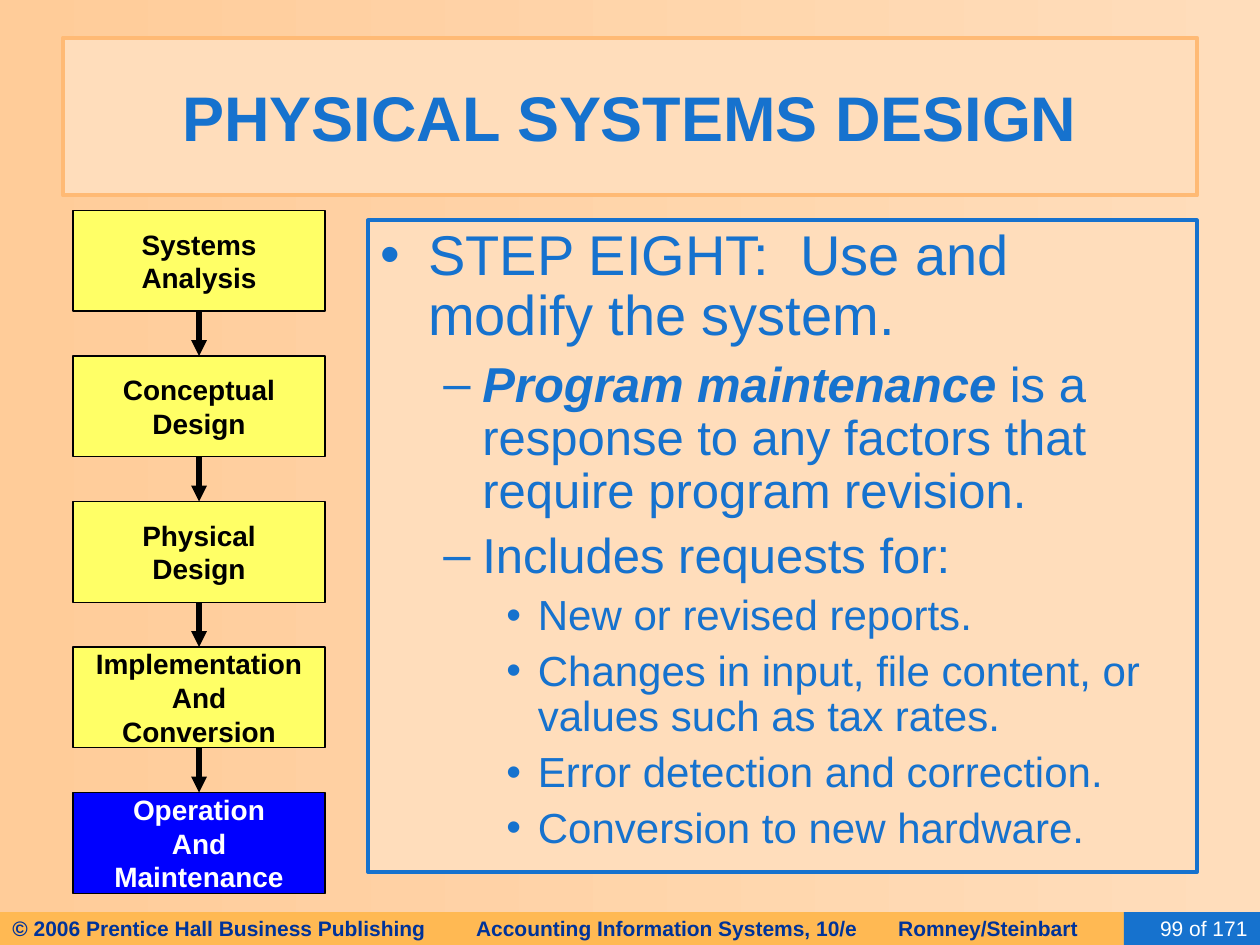
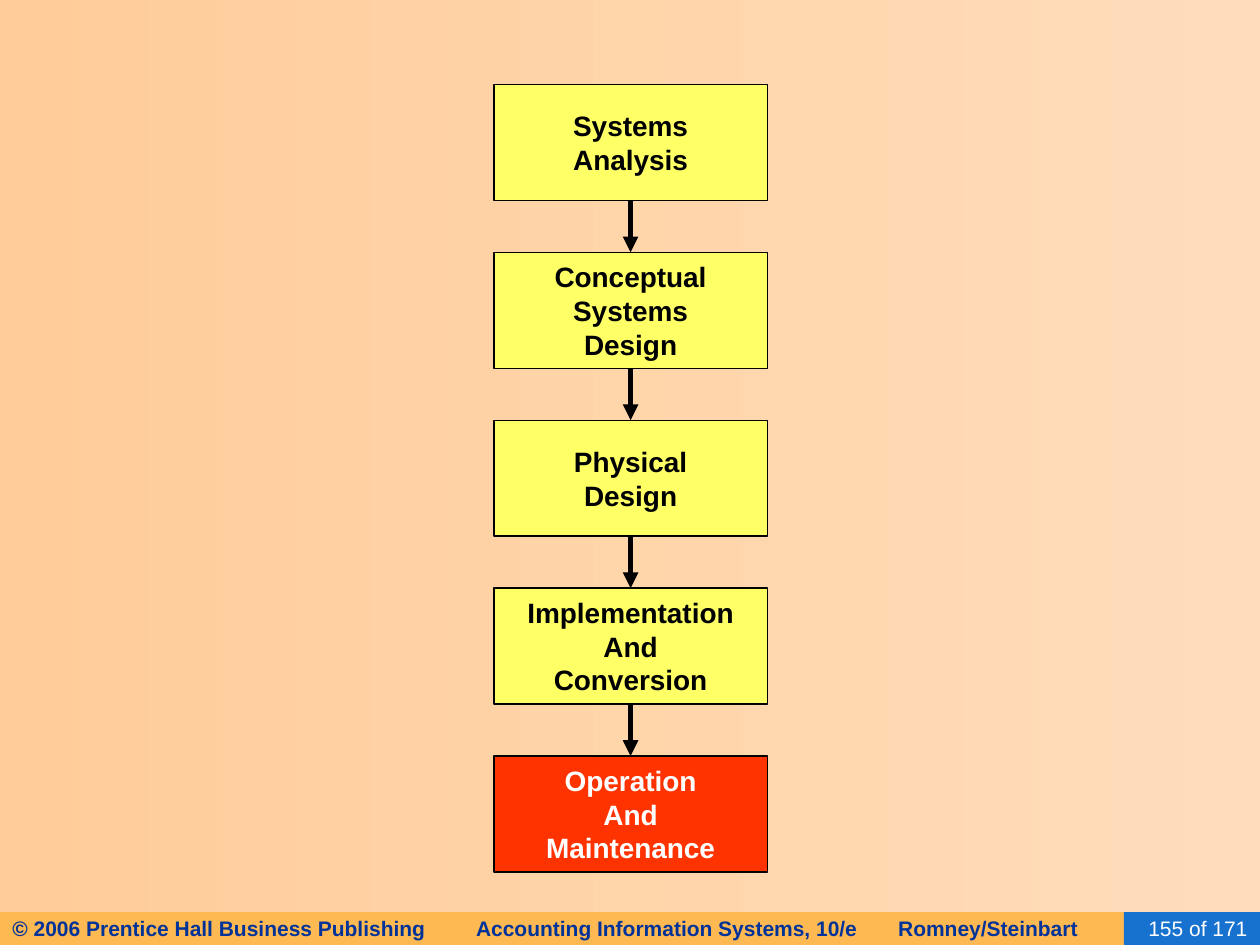
from lxml import etree
from pptx import Presentation
from pptx.dml.color import RGBColor
from pptx.enum import shapes, text
from pptx.oxml import ns
from pptx import util as u

FONT = "Arial"
BLUE = RGBColor(0x16, 0x72, 0xCE)
NAVY = RGBColor(0x00, 0x33, 0x99)
PEACH = RGBColor(0xFF, 0xDD, 0xBB)
APRICOT = RGBColor(0xFF, 0xCC, 0x99)
TITLE_EDGE = RGBColor(0xFF, 0xBA, 0x75)
BAND = RGBColor(0xFF, 0xB9, 0x53)
YELLOW = RGBColor(0xFF, 0xFF, 0x66)
BRIGHT_BLUE = RGBColor(0x00, 0x00, 0xFF)
RED = RGBColor(0xFF, 0x33, 0x00)
BLACK = RGBColor(0x00, 0x00, 0x00)
WHITE = RGBColor(0xFF, 0xFF, 0xFF)

LEFT, CENTER, RIGHT = (text.PP_ALIGN.LEFT, text.PP_ALIGN.CENTER,
                       text.PP_ALIGN.RIGHT)

# Outline levels: bullet, left margin, hanging indent, size, space before
LEVELS = [("•", 0.38, 0.38, 32, 8), ("–", 0.81, 0.31, 28, 7),
          ("•", 1.25, 0.25, 24, 6)]

FOOTER = ("© 2006 Prentice Hall Business Publishing\t"
          "Accounting Information Systems, 10/e\tRomney/Steinbart")
FOOTER_TABS = (3.68, 7.03)


def add_xml(parent, tag, **attrs):
    return etree.SubElement(parent, ns.qn(tag), attrs)


def add_run(p, words, size=16, color=BLACK, bold=False, italic=False):
    r = p.add_run()
    r.text = words
    f = r.font
    f.name, f.size, f.bold, f.italic = FONT, u.Pt(size), bold, italic
    f.color.rgb = color
    return r


class Deck:
    """Holds the shared style and the current slide."""

    def __init__(self):
        self.prs = Presentation()
        self.prs.slide_width = u.Inches(10)
        self.prs.slide_height = u.Inches(7.5)
        self.s = None

    def slide(self, number):
        self.s = self.prs.slides.add_slide(self.prs.slide_layouts[6])
        fill = self.s.background.fill
        fill.gradient()
        fill.gradient_angle = 180
        for stop, color in zip(fill.gradient_stops, (PEACH, APRICOT)):
            stop.color.rgb = color
        # Footer band and page number
        sp = self.box(0, 7.24, 9.25, 0.26, BAND)
        p = self.lines(sp, [FOOTER], LEFT, size=12, color=NAVY, bold=True)
        tabs = add_xml(p._p.get_or_add_pPr(), "a:tabLst")
        for pos in FOOTER_TABS:
            add_xml(tabs, "a:tab", pos=str(u.Inches(pos)), algn="l")
        sp = self.box(8.92, 7.24, 1.08, 0.26, BLUE)
        self.lines(sp, [f"{number} of 171"], RIGHT, size=12, color=WHITE)

    def box(self, x, y, w, h, fill, line=None, width=0.75, wrap=True):
        sp = self.s.shapes.add_shape(
            shapes.MSO_SHAPE.RECTANGLE,
            u.Inches(x), u.Inches(y), u.Inches(w), u.Inches(h))
        sp.shadow.inherit = False
        sp.fill.solid()
        sp.fill.fore_color.rgb = fill
        if line is None:
            sp.line.fill.background()
        else:
            sp.line.color.rgb = line
            sp.line.width = u.Pt(width)
        sp.text_frame.word_wrap = wrap
        sp.text_frame.vertical_anchor = text.MSO_ANCHOR.MIDDLE
        return sp

    def lines(self, sp, words, align=CENTER, **fmt):
        """Write one paragraph per line and return the last one."""
        tf = sp.text_frame
        for i, line in enumerate(words):
            p = tf.add_paragraph() if i else tf.paragraphs[0]
            p.alignment = align
            add_run(p, line, **fmt)
        return p

    def title(self, words):
        sp = self.box(0.5, 0.3, 9, 1.25, PEACH, TITLE_EDGE, 2.5)
        self.lines(sp, [words], size=36, color=BLUE, bold=True)

    def outline(self, items):
        """Bulleted panel; an item is its level, emphasised lead and text."""
        tf = self.box(2.92, 1.75, 6.58, 5.17, PEACH, BLUE, 2.25).text_frame
        tf.vertical_anchor = text.MSO_ANCHOR.TOP
        for i, (level, lead, words) in enumerate(items):
            bullet, margin, hang, size, before = LEVELS[level]
            p = tf.add_paragraph() if i else tf.paragraphs[0]
            p.level, p.alignment, p.line_spacing = level, LEFT, 0.9
            p.space_before = u.Pt(before if i else 0)
            pPr = p._p.get_or_add_pPr()
            pPr.set("marL", str(u.Inches(margin)))
            pPr.set("indent", str(-u.Inches(hang)))
            add_xml(add_xml(pPr, "a:buClr"), "a:srgbClr", val=str(BLUE))
            add_xml(pPr, "a:buFont", typeface=FONT)
            add_xml(pPr, "a:buChar", char=bullet)
            if lead:
                add_run(p, lead, size, BLUE, bold=True, italic=True)
            add_run(p, words, size, BLUE)

    def arrow(self, x, y1, y2):
        c = self.s.shapes.add_connector(
            shapes.MSO_CONNECTOR.STRAIGHT,
            u.Inches(x), u.Inches(y1), u.Inches(x), u.Inches(y2))
        c.line.color.rgb = BLACK
        c.line.width = u.Pt(3)
        add_xml(c.line._get_or_add_ln(), "a:tailEnd", type="triangle")
        add_xml(c._element.spPr, "a:effectLst")

    def flow(self, phases, x, w, h, first, last, highlight):
        """Equally spaced phases joined by arrows, the last one highlighted."""
        end = len(phases) - 1
        pitch = (last - first) / end
        for i, phase in enumerate(phases):
            y = first + i * pitch
            fill, color = (highlight, WHITE) if i == end else (YELLOW, BLACK)
            sp = self.box(x, y, w, h, fill, BLACK, wrap=False)
            self.lines(sp, phase.split("/"), color=color, bold=True)
        for i in range(end):
            y = first + i * pitch
            self.arrow(x + w / 2, y + h, y + pitch)


def phases(conceptual):
    return ["Systems/Analysis", conceptual, "Physical/Design",
            "Implementation/And/Conversion", "Operation/And/Maintenance"]


def main():
    deck = Deck()

    # Step eight, with the phases at the side
    deck.slide(99)
    deck.title("PHYSICAL SYSTEMS DESIGN")
    deck.outline([
        (0, "", "STEP EIGHT:  Use and modify the system."),
        (1, "Program maintenance",
         " is a response to any factors that require program revision."),
        (1, "", "Includes requests for:"),
        (2, "", "New or revised reports."),
        (2, "", "Changes in input, file content, or values such as tax rates."),
        (2, "", "Error detection and correction."),
        (2, "", "Conversion to new hardware."),
    ])
    deck.flow(phases("Conceptual/Design"), x=0.58, w=2, h=0.8,
              first=1.67, last=6.29, highlight=BRIGHT_BLUE)

    # The phases alone
    deck.slide(155)
    deck.flow(phases("Conceptual/Systems/Design"), x=3.92, w=2.17, h=0.92,
              first=0.67, last=6, highlight=RED)

    deck.prs.save("out.pptx")


if __name__ == "__main__":
    main()
